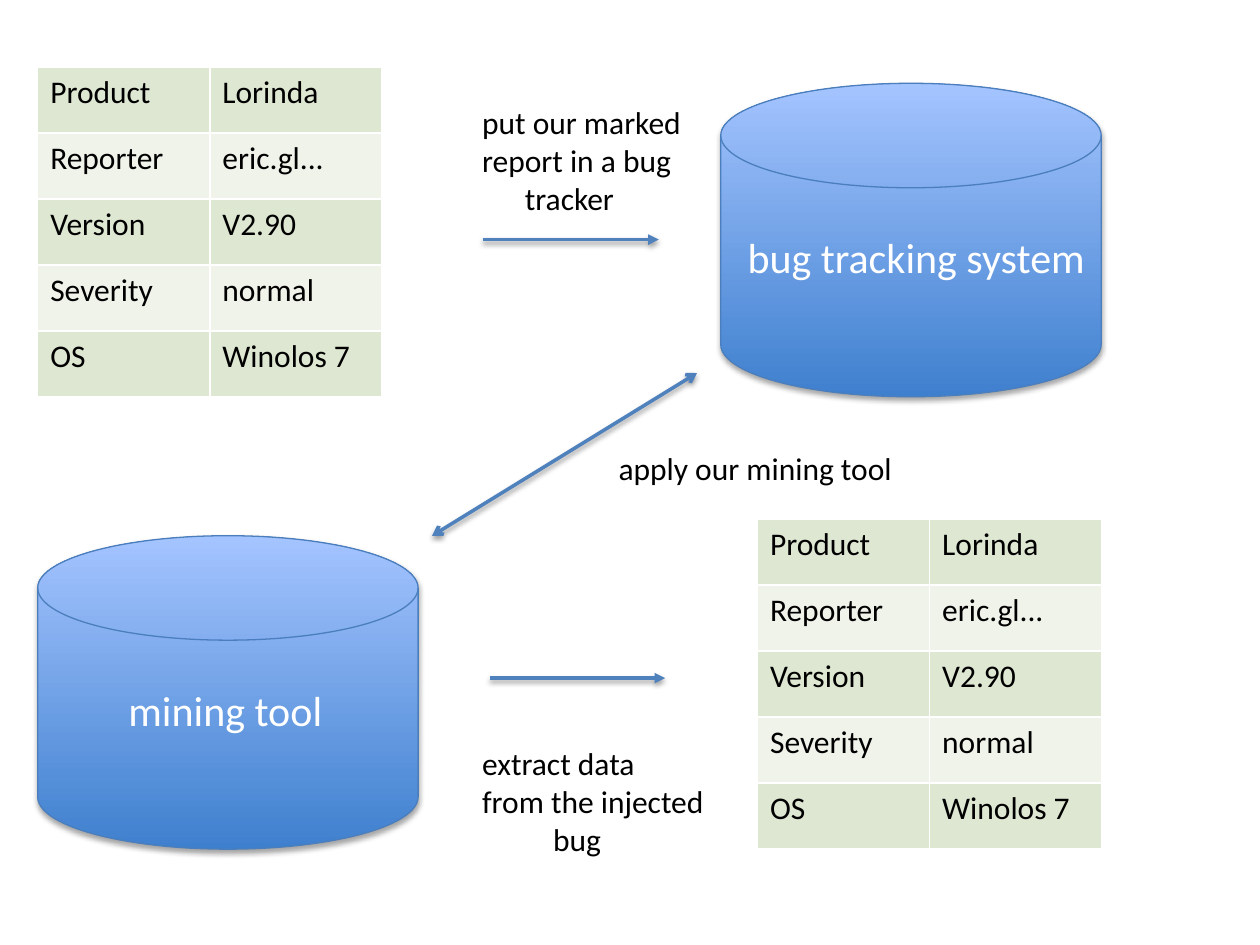
"""Builds a slide on how a bug report moves through a tracker and a mining tool."""
from lxml.etree import SubElement
from pptx import Presentation
from pptx.dml.color import RGBColor
from pptx.enum.shapes import MSO_CONNECTOR, MSO_SHAPE
from pptx.enum.text import MSO_ANCHOR, PP_ALIGN
from pptx.oxml import parse_xml
from pptx.oxml.ns import nsdecls, qn
from pptx.util import Cm, Pt

BLACK = RGBColor(0x00, 0x00, 0x00)
WHITE = RGBColor(0xFF, 0xFF, 0xFF)
SAGE = RGBColor(0xDE, 0xE7, 0xD1)
PALE = RGBColor(0xEF, 0xF3, 0xEA)
DEEP = RGBColor(0x3F, 0x80, 0xCE)
LIGHT = RGBColor(0xA4, 0xC4, 0xFF)
EDGE = RGBColor(0x4B, 0x7E, 0xBC)
BLUE = RGBColor(0x4F, 0x81, 0xBD)

REPORT = [
    ("Product", "Lorinda"),
    ("Reporter", "eric.gl..."),
    ("Version", "V2.90"),
    ("Severity", "normal"),
    ("OS", "Winolos 7"),
]


def write(frame, text, size=18, color=BLACK, indent=0):
    """Fill a frame line by line; the indent applies to the last line."""
    lines = text.split("\n")
    for i, line in enumerate(lines):
        para = frame.paragraphs[0] if i == 0 else frame.add_paragraph()
        para.alignment = PP_ALIGN.LEFT
        if indent and i == len(lines) - 1:
            para._p.get_or_add_pPr().set("marL", str(Cm(indent)))
        run = para.add_run()
        run.text = line
        run.font.name = "Calibri"
        run.font.size = Pt(size)
        run.font.color.rgb = color


def shade(shape, alpha, dist):
    """Add a soft shadow that falls straight down."""
    shape._element.spPr.append(parse_xml(
        f'<a:effectLst {nsdecls("a")}><a:outerShdw blurRad="{Pt(3.1)}" '
        f'dist="{Pt(dist)}" dir="5400000" rotWithShape="0">'
        f'<a:srgbClr val="{BLACK}"><a:alpha val="{alpha * 1000}"/></a:srgbClr>'
        '</a:outerShdw></a:effectLst>'))


class Board:
    """Holds the slide and its style."""

    def __init__(self, slide):
        self.slide = slide
        self.shapes = slide.shapes

    def table(self, left, top, rows, wide=3.47, high=1.33):
        """Add a banded table with white rules."""
        cols = len(rows[0])
        grid = self.shapes.add_table(
            len(rows), cols, Cm(left), Cm(top),
            Cm(wide * cols), Cm(high * len(rows))).table
        grid.first_row = grid.horz_banding = False
        for col in grid.columns:
            col.width = Cm(wide)
        for r, row in enumerate(rows):
            grid.rows[r].height = Cm(high)
            for c, text in enumerate(row):
                cell = grid.cell(r, c)
                self.rule(cell)
                cell.fill.solid()
                cell.fill.fore_color.rgb = PALE if r % 2 else SAGE
                write(cell.text_frame, text)

    def rule(self, cell):
        """Draw the four borders of a cell."""
        props = cell._tc.get_or_add_tcPr()
        for side in "LRTB":
            line = SubElement(props, qn(f"a:ln{side}"), w=str(Pt(1)))
            fill = SubElement(line, qn("a:solidFill"))
            SubElement(fill, qn("a:srgbClr"), val=str(WHITE))

    def disk(self, left, top, text, indent):
        """Add a store with a gradient and a label."""
        disk = self.shapes.add_shape(
            MSO_SHAPE.FLOWCHART_MAGNETIC_DISK,
            Cm(left), Cm(top), Cm(7.67), Cm(6.32))
        disk.fill.gradient()
        disk.fill.gradient_angle = 90
        for stop, color, place in zip(
                disk.fill.gradient_stops, (DEEP, LIGHT), (0, 1)):
            stop.color.rgb = color
            stop.position = place
        disk.line.color.rgb = EDGE
        disk.line.width = Pt(0.75)
        shade(disk, 35, 1.8)
        frame = disk.text_frame
        frame.word_wrap = True
        frame.vertical_anchor = MSO_ANCHOR.TOP
        frame.margin_top = Cm(0.89)
        frame.margin_right = 0
        write(frame, text, size=24, color=WHITE, indent=indent)

    def arrow(self, start, end, head=None, tail="triangle"):
        """Add an arrow from start to end."""
        arrow = self.shapes.add_connector(
            MSO_CONNECTOR.STRAIGHT, *map(Cm, start + end))
        arrow.line.color.rgb = BLUE
        arrow.line.width = Pt(2)
        line = arrow.line._get_or_add_ln()
        for tag, kind in (("headEnd", head), ("tailEnd", tail)):
            if kind:
                SubElement(line, qn(f"a:{tag}"), type=kind)
        shade(arrow, 38, 1.6)

    def note(self, left, top, wide, high, text, indent=0):
        """Add a plain caption."""
        frame = self.shapes.add_textbox(
            Cm(left), Cm(top), Cm(wide), Cm(high)).text_frame
        frame.word_wrap = True
        frame.margin_right = 0
        write(frame, text, indent=indent)


deck = Presentation()
deck.slide_width, deck.slide_height = Cm(25.4), Cm(19.05)
board = Board(deck.slides.add_slide(deck.slide_layouts[6]))

board.table(0.76, 1.35, REPORT)
board.table(15.27, 10.46, REPORT)
board.disk(14.53, 1.68, "bug tracking system", 0.29)
board.arrow((9.73, 4.83), (13.28, 4.83))
board.arrow((9.88, 13.67), (13.41, 13.67))
board.disk(0.76, 10.8, "mining tool", 1.58)
board.note(9.47, 1.96, 4.57, 2.57,
           "put our marked\nreport in a bug\ntracker", indent=0.86)
board.arrow((14.05, 7.52), (8.71, 10.8), head="arrow", tail="arrow")
board.note(12.22, 8.92, 6.1, 1.02, "apply our mining tool")
board.note(9.47, 14.88, 5.03, 2.57,
           "extract data\nfrom the injected\nbug", indent=1.43)

deck.save("out.pptx")
